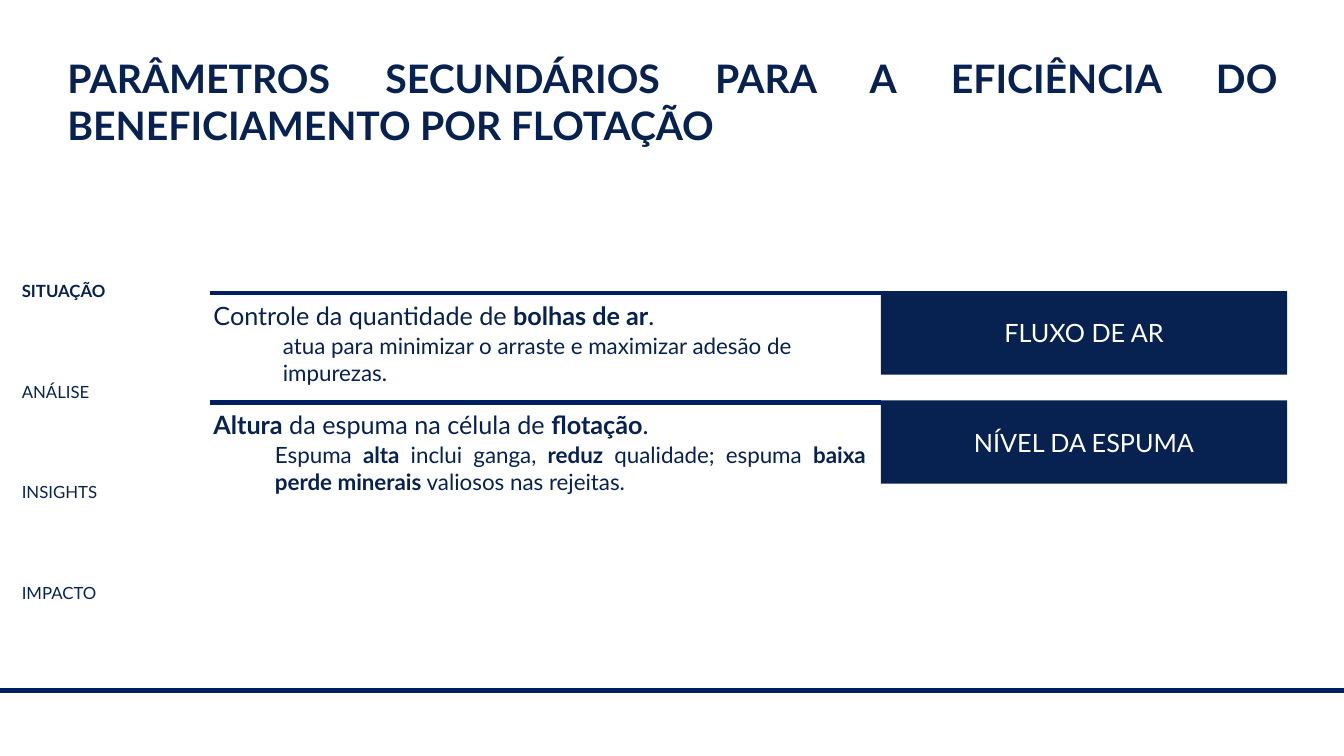
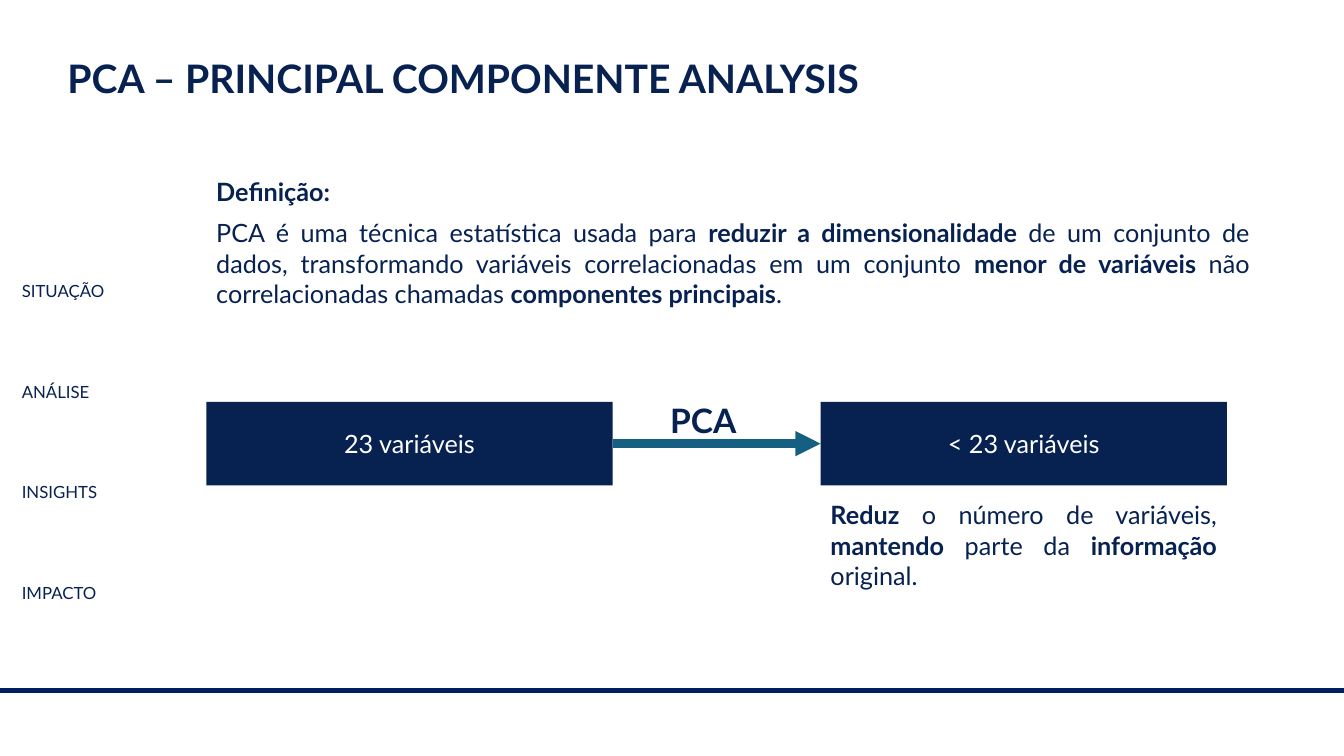
import pptx
import pptx.dml.color
import pptx.enum.shapes
import pptx.enum.text
import pptx.oxml.ns
import pptx.util
from lxml import etree

Cm = pptx.util.Cm
Pt = pptx.util.Pt
ALIGN = pptx.enum.text.PP_ALIGN

COLORS = {"navy": "072151", "rule": "001F63", "arrow": "156082", "white": "FFFFFF"}
FONT = "Lato"
SLIDE_WIDTH, SLIDE_HEIGHT = 33.87, 19.05
STAGES = ["SITUAÇÃO", "ANÁLISE", "INSIGHTS", "IMPACTO"]
LABEL_WIDTH, LABEL_HEIGHT = 10.24, 2.1


def color(name):
    return pptx.dml.color.RGBColor.from_string(COLORS[name])


def write_text(frame, paragraphs, size=18, ink="navy", align=ALIGN.JUSTIFY, gap=0):
    """Fill a text frame; parts between double asterisks become bold."""
    frame.word_wrap = True
    for index, text in enumerate(paragraphs):
        paragraph = frame.add_paragraph() if index else frame.paragraphs[0]
        paragraph.alignment = align
        if index:
            paragraph.space_before = Pt(gap)
        for part, words in enumerate(text.split("**")):
            if not words:
                continue
            run = paragraph.add_run()
            run.text = words
            run.font.name = FONT
            run.font.size = Pt(size)
            run.font.bold = part % 2 == 1
            run.font.color.rgb = color(ink)


def add_text(slide, left, top, width, height, *paragraphs, **text_format):
    box = slide.shapes.add_textbox(Cm(left), Cm(top), Cm(width), Cm(height))
    write_text(box.text_frame, paragraphs, **text_format)


def add_label(slide, left, top, text):
    label = slide.shapes.add_shape(
        pptx.enum.shapes.MSO_SHAPE.RECTANGLE,
        Cm(left), Cm(top), Cm(LABEL_WIDTH), Cm(LABEL_HEIGHT))
    label.shadow.inherit = False
    label.fill.solid()
    label.fill.fore_color.rgb = color("navy")
    label.line.fill.background()
    label.text_frame.vertical_anchor = pptx.enum.text.MSO_ANCHOR.MIDDLE
    write_text(label.text_frame, [text], ink="white", align=ALIGN.CENTER)
    return label


def add_line(slide, left, right, top, ink="rule", weight=3):
    line = slide.shapes.add_connector(
        pptx.enum.shapes.MSO_CONNECTOR.STRAIGHT, Cm(left), Cm(top), Cm(right), Cm(top))
    line.line.color.rgb = color(ink)
    line.line.width = Pt(weight)
    properties = line._element.spPr
    etree.SubElement(properties, pptx.oxml.ns.qn("a:effectLst"))
    return line


def add_base_slide(presentation, title, current_stage=None):
    """Add a blank slide with the footer rule, the stage list and the title."""
    slide = presentation.slides.add_slide(presentation.slide_layouts[6])
    add_line(slide, 0, SLIDE_WIDTH, 17.4)
    stages = [f"**{stage}**" if stage == current_stage else stage for stage in STAGES]
    add_text(slide, 0.3, 6.96, 3.38, 8.46, *stages, size=12, align=ALIGN.LEFT, gap=57.4)
    add_text(slide, 1.45, 1.24, 30.99, 2.64, f"**{title}**", size=28)
    return slide


def add_parameter_row(slide, left, top, width, name, heading, detail, indent, align):
    label_left = left + width - LABEL_WIDTH
    text_width = label_left - left
    add_label(slide, label_left, top, name)
    add_line(slide, left, label_left, top + 0.05)
    add_text(slide, left - 0.15, top + 0.1, text_width, 1.02, heading)
    add_text(slide, left + indent, top + 0.9, text_width - indent - 0.13, 1.63,
             detail, size=16, align=align)


def add_reduction_flow(slide, left, top, width):
    """Two labels at the ends of the width, joined by the PCA arrow."""
    target_left = left + width - LABEL_WIDTH
    arrow_left = left + LABEL_WIDTH
    source = add_label(slide, left, top, "23 variáveis")
    target = add_label(slide, target_left, top, "< 23 variáveis")

    arrow = add_line(slide, arrow_left, target_left, top + LABEL_HEIGHT / 2, "arrow", 6)
    arrow.begin_connect(source, 3)
    arrow.end_connect(target, 1)
    outline = arrow.line._get_or_add_ln()
    etree.SubElement(outline, pptx.oxml.ns.qn("a:tailEnd"), type="triangle")

    caption_width = 2.84
    add_text(slide, (arrow_left + target_left - caption_width) / 2, top - 0.17,
             caption_width, 1.27, "**PCA**", size=24, align=ALIGN.LEFT)
    add_text(slide, target_left, top + 2.34, LABEL_WIDTH, 2.57,
             "**Reduz** o número de variáveis, **mantendo** parte da "
             "**informação** original.")


def build_parameters_slide(presentation):
    slide = add_base_slide(
        presentation,
        "PARÂMETROS SECUNDÁRIOS PARA A EFICIÊNCIA DO BENEFICIAMENTO POR FLOTAÇÃO",
        "SITUAÇÃO")
    rows = [
        ("FLUXO DE AR",
         "Controle da quantidade de** bolhas de ar**.",
         "atua para minimizar o arraste e maximizar adesão de impurezas.",
         1.6, ALIGN.LEFT),
        ("NÍVEL DA ESPUMA",
         "**Altura** da espuma na célula de **flotação**.",
         "Espuma **alta** inclui ganga, **reduz** qualidade; espuma "
         "**baixa perde minerais** valiosos nas rejeitas.",
         1.4, ALIGN.JUSTIFY),
    ]
    for index, row in enumerate(rows):
        add_parameter_row(slide, 5.28, 7.34 + index * 2.75, 27.16, *row)


def build_pca_slide(presentation):
    slide = add_base_slide(presentation, "PCA – PRINCIPAL COMPONENTE ANALYSIS")
    left = 5.2
    add_text(slide, left, 4.32, 26.54, 1.02, "**Definição:**")
    add_text(slide, left, 5.36, 26.54, 2.57,
             "PCA é uma técnica estatística usada para **reduzir a dimensionalidade "
             "**de um conjunto de dados, transformando variáveis correlacionadas em "
             "um conjunto **menor de variáveis **não correlacionadas chamadas "
             "**componentes principais**.")
    add_reduction_flow(slide, left, 10.13, 25.72)


def main():
    presentation = pptx.Presentation()
    presentation.slide_width = Cm(SLIDE_WIDTH)
    presentation.slide_height = Cm(SLIDE_HEIGHT)
    build_parameters_slide(presentation)
    build_pca_slide(presentation)
    presentation.save("out.pptx")


if __name__ == "__main__":
    main()
